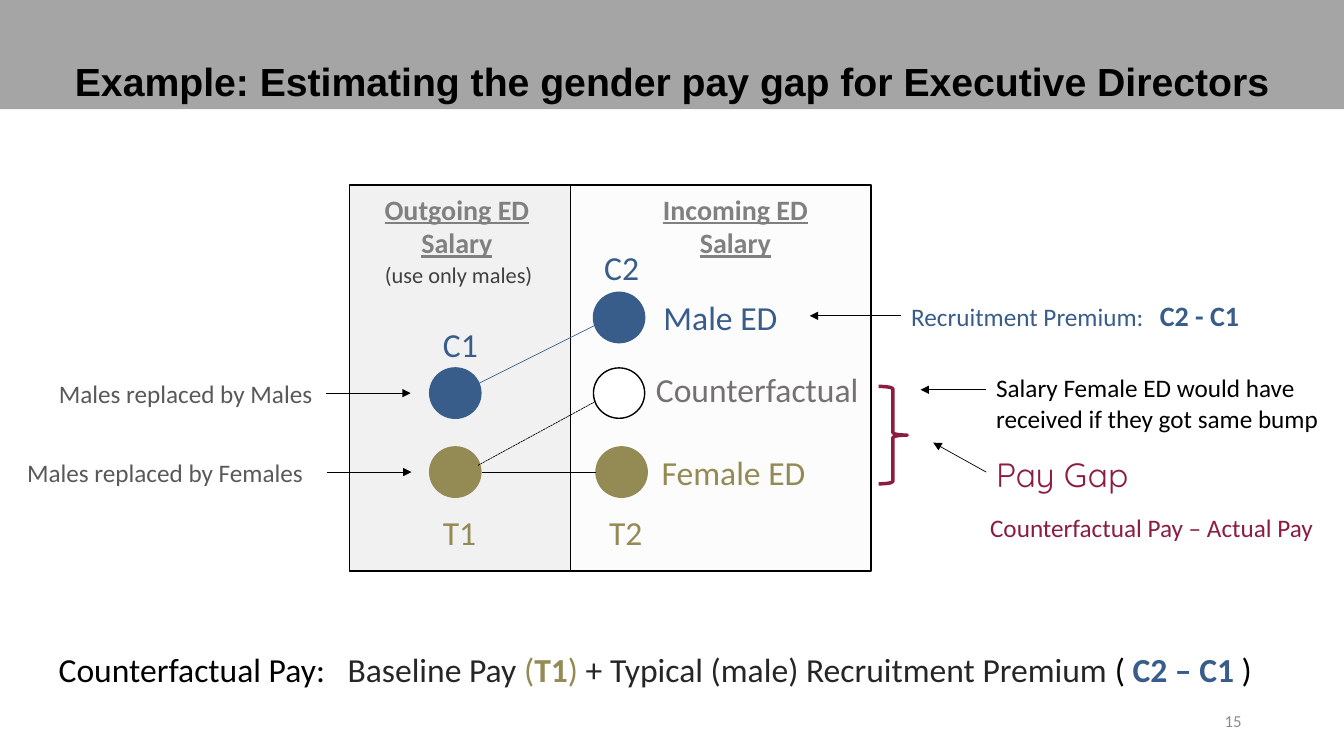
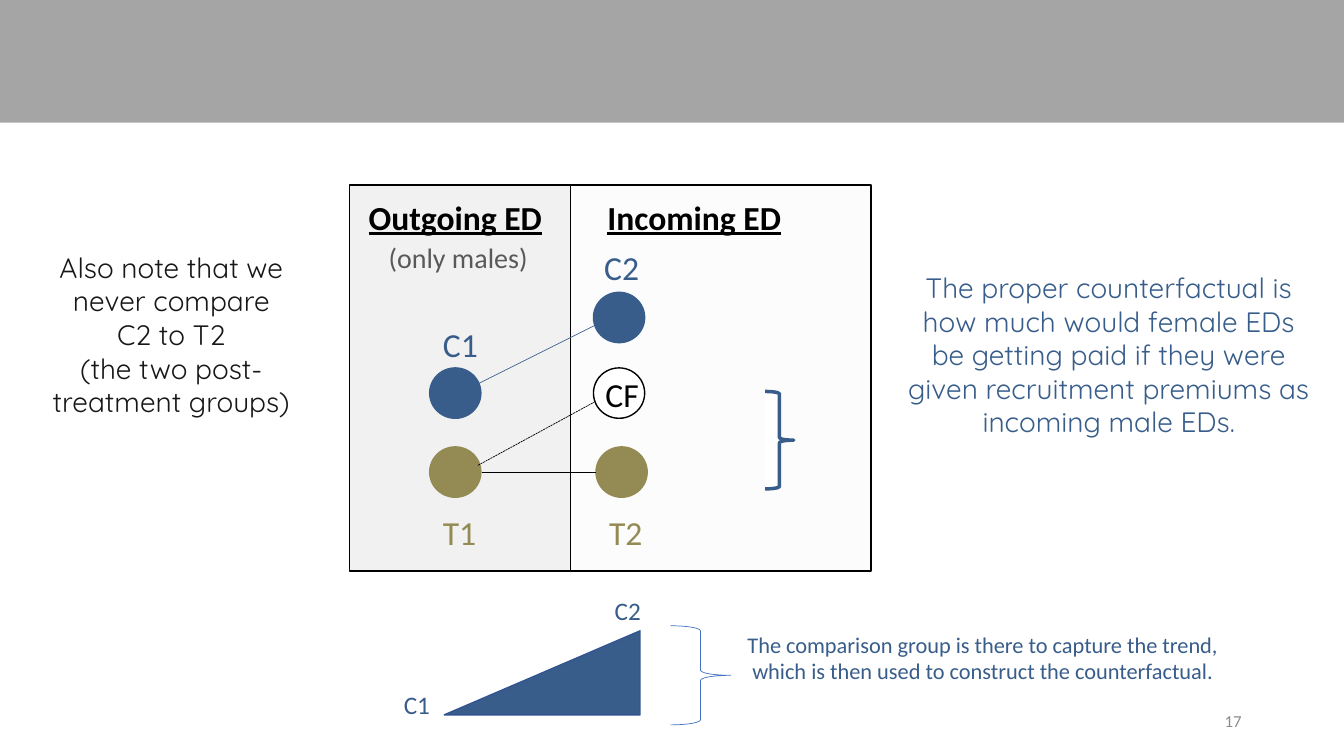
import dataclasses

import pptx
import pptx.dml.color
import pptx.enum.dml
import pptx.enum.shapes
import pptx.enum.text
import pptx.oxml
import pptx.oxml.ns
import pptx.util

SHAPE = pptx.enum.shapes.MSO_SHAPE
ALIGN = pptx.enum.text.PP_ALIGN
ANCHOR = pptx.enum.text.MSO_ANCHOR
RGB = pptx.dml.color.RGBColor.from_string
qn = pptx.oxml.ns.qn


@dataclasses.dataclass(frozen=True)
class Theme:
    body: str = "Calibri"
    heading: str = "Arial"
    accent: str = "Quicksand"
    black: str = "000000"
    white: str = "FFFFFF"
    band: str = "A5A5A5"
    comparison: str = "385D8A"
    treatment: str = "948A54"
    gap: str = "8C1D40"
    trend_edge: str = "325491"
    trend_brace: str = "4472C4"
    outgoing: str = "BFBFBF"
    incoming: str = "F2F2F2"
    column_head: str = "808080"
    counterfactual: str = "767171"
    side_note: str = "595959"
    dark_note: str = "404040"
    formula: str = "262626"
    remark: str = "181717"
    page: str = "8C8C8C"
    title_size: int = 28
    large: int = 24
    medium: int = 20
    normal: int = 18
    small: int = 16
    page_size: int = 12
    hairline: float = 0.5
    outline: float = 1
    brace_line: float = 2.5


theme = Theme()
deck = pptx.Presentation()
deck.slide_width = pptx.util.Emu(12192000)
deck.slide_height = pptx.util.Emu(6858000)
CELL = deck.slide_width / 160  # the slide is a grid of 160 columns by 90 rows


def place(slide, kind, box, fill=None, line=None, weight=theme.outline, alpha=None):
    """Add a preset shape; box is left, top, width and height in grid cells."""
    shape = slide.shapes.add_shape(kind, *[round(n * CELL) for n in box])
    shape.shadow.inherit = False
    if fill:
        shape.fill.solid()
        shape.fill.fore_color.rgb = RGB(fill)
        if alpha:
            color = shape.fill._xPr.find(qn("a:solidFill"))[0]
            pptx.oxml.parse_xml(f'<a:alpha {pptx.oxml.ns.nsdecls("a")} val="{alpha * 1000}"/>')
            color.append(color.makeelement(qn("a:alpha"), {"val": str(alpha * 1000)}))
    else:
        shape.fill.background()
    if line:
        shape.line.color.rgb = RGB(line)
        shape.line.width = pptx.util.Pt(weight)
    else:
        shape.line.fill.background()
    return shape


def write(slide, box, text, size, color, font=theme.body, align=ALIGN.CENTER,
          anchor=ANCHOR.TOP, wrap=True, bold=False, underline=False, tab=None):
    """Add text in grid cells; text is a string or a list of (words, color, bold, size)."""
    label = slide.shapes.add_textbox(*[round(n * CELL) for n in box])
    frame = label.text_frame
    frame.word_wrap = wrap
    frame.auto_size = pptx.enum.text.MSO_AUTO_SIZE.SHAPE_TO_FIT_TEXT
    frame.vertical_anchor = anchor
    parts = [(text, color, bold, size)] if isinstance(text, str) else text
    if isinstance(text, str):
        frame.text = text
    else:
        for words, *_ in parts:
            frame.paragraphs[0].add_run().text = words
    for paragraph in frame.paragraphs:
        paragraph.alignment = align
        if tab:
            stops = paragraph._p.get_or_add_pPr().makeelement(qn("a:tabLst"), {})
            stops.append(stops.makeelement(
                qn("a:tab"), {"pos": str(round(tab * CELL)), "algn": "l"}))
            paragraph._p.get_or_add_pPr().append(stops)
        for run, (_, run_color, run_bold, run_size) in zip(paragraph.runs, parts):
            run.font.name = font
            run.font.size = pptx.util.Pt(run_size)
            run.font.color.rgb = RGB(run_color)
            run.font.bold = run_bold
            run.font.underline = underline


# Pay diagram: two salary columns, one row for each level of pay
PANEL_TOP, PANEL_HEIGHT = 22, 46
HIGH, MIDDLE, LOW = 37.8, 46.8, 56.2
OUT_X, IN_X, T2_X = 54.2, 73.7, 74
DOT_WIDTH, DOT_HEIGHT = 6.1, 6
panels = [(67.9, 35.8, theme.incoming), (41.6, 26.3, theme.outgoing)]
groups = [
    (OUT_X, MIDDLE, theme.comparison, theme.comparison),
    (OUT_X, LOW, theme.treatment, theme.treatment),
    (IN_X, HIGH, theme.comparison, theme.comparison),
    (IN_X, MIDDLE, theme.white, theme.black),
    (T2_X, LOW, theme.treatment, theme.treatment),
]
group_labels = [
    ("C1", 51.5, 38, theme.comparison),
    ("C2", 70.7, 28.8, theme.comparison),
    ("T1", 51.4, 60.4, theme.treatment),
    ("T2", 71.2, 60.4, theme.treatment),
]
# Start, end, colour, dashed, arrowhead
trends = [
    (54.7, MIDDLE, 70.7, 38.8, theme.comparison, False, False),
    (57.4, LOW, 70.9, LOW, theme.black, False, False),
    (56.9, 55.4, 70.7, 47.9, theme.black, True, False),
]
pointers = [
    (*ends, theme.black, False, True) for ends in [
        (38.8, MIDDLE, 48.9, MIDDLE),
        (38.9, LOW, 49, LOW),
        (107.3, 37.6, 96.4, 37.6),
        (117.4, 46.4, 109.6, 46.4),
        (117.4, LOW, 111.1, 52.7),
    ]
]

slides = []
for page, band_height, links in [("15", 13, trends + pointers), ("17", 14.6, trends)]:
    slide = deck.slides.add_slide(deck.slide_layouts[6])
    slides.append(slide)
    place(slide, SHAPE.RECTANGLE, (0, 0, 160, band_height), theme.band)
    for left, width, tint in panels:
        place(slide, SHAPE.RECTANGLE, (left, PANEL_TOP, width, PANEL_HEIGHT),
              tint, theme.black, alpha=21)
    write(slide, (113, 83.4, 36, 4.8), page, theme.page_size, theme.page,
          align=ALIGN.RIGHT, anchor=ANCHOR.MIDDLE)
    for name, left, top, color in group_labels:
        write(slide, (left, top, 6.6, 6), name, theme.large, color, wrap=False)
    for x, y, fill, edge in groups:
        place(slide, SHAPE.OVAL,
              (x - DOT_WIDTH / 2, y - DOT_HEIGHT / 2, DOT_WIDTH, DOT_HEIGHT), fill, edge)
    for *ends, color, dashed, arrow in links:
        link = slide.shapes.add_connector(
            pptx.enum.shapes.MSO_CONNECTOR.STRAIGHT, *[round(n * CELL) for n in ends])
        link.line.color.rgb = RGB(color)
        link.line.width = pptx.util.Pt(theme.hairline)
        if dashed:
            link.line.dash_style = pptx.enum.dml.MSO_LINE.SQUARE_DOT
        properties = link._element.spPr
        if arrow:
            outline = link.line._get_or_add_ln()
            outline.append(outline.makeelement(qn("a:tailEnd"), {"type": "triangle"}))
        properties.append(properties.makeelement(qn("a:effectLst"), {}))

example, explanation = slides

# Example: the gap for executive directors
write(example, (0, 6.4, 160, 6.6),
      "Example: Estimating the gender pay gap for Executive Directors",
      theme.title_size, theme.black, theme.heading, anchor=ANCHOR.BOTTOM, bold=True)
for heading, box in [("Incoming ED Salary", (73.8, 22.3, 27.5, 9.2)),
                     ("Outgoing ED\nSalary", (39.1, 22.3, 30.6, 9.2))]:
    write(example, box, heading, theme.medium, theme.column_head, bold=True, underline=True)
write(example, (44.2, 30.5, 20.8, 4.4), "(use only males)", theme.small,
      theme.dark_note, wrap=False)
for name, left, top, color in [("Male ED", 77.8, 34.7, theme.comparison),
                               ("Counterfactual", 76.9, 43.3, theme.counterfactual),
                               ("Female ED", 77.6, 53.2, theme.treatment)]:
    write(example, (left, top, 27.5, 6), name, theme.large, color, align=ALIGN.LEFT)
for note, box in [("Males replaced by Males", (5.5, 44.4, 33.2, 4.8)),
                  ("Males replaced by Females", (0.4, 53.8, 38.5, 4.8))]:
    write(example, box, note, theme.normal, theme.side_note)
write(example, (107.3, 34.9, 42.2, 5.3),
      [("Recruitment Premium:\t", theme.comparison, False, theme.normal),
       ("C2 - C1", theme.comparison, True, theme.medium)],
      theme.normal, theme.comparison, align=ALIGN.LEFT, tab=29.6)
write(example, (117.4, 43.7, 42.6, 8.5),
      "Salary Female ED would have received if they got same bump",
      theme.normal, theme.black, align=ALIGN.LEFT, anchor=ANCHOR.MIDDLE)
place(example, SHAPE.RIGHT_BRACE, (104.6, 46, 3.4, 11.6), theme.white, theme.gap,
      theme.brace_line)
write(example, (117.4, 53.4, 19.9, 6), "Pay Gap", theme.large, theme.gap, theme.accent,
      align=ALIGN.LEFT, wrap=False)
write(example, (114.2, 60.4, 45.8, 4.8), "Counterfactual Pay – Actual Pay",
      theme.normal, theme.gap, anchor=ANCHOR.MIDDLE)
formula = [
    ("Counterfactual Pay:\t", theme.black, False),
    ("Baseline Pay", theme.formula, False),
    (" (", theme.treatment, False),
    ("T1", theme.treatment, True),
    (") ", theme.treatment, False),
    ("+ Typical (male) Recruitment Premium ", theme.formula, False),
    ("( ", theme.black, False),
    ("C2 – C1 ", theme.comparison, True),
    (")", theme.black, False),
]
write(example, (5.8, 76.7, 148.8, 6), [(*term, theme.large) for term in formula],
      theme.large, theme.black, align=ALIGN.LEFT, tab=34.4)

# Explanation: what the comparison group is for
for heading, box in [("Incoming ED", (68.9, 22.8, 27.5, 6)),
                     ("Outgoing ED", (41.3, 22.8, 25.8, 6))]:
    write(explanation, box, heading, theme.large, theme.black, bold=True, underline=True)
write(explanation, (44.6, 28, 19.9, 5.3), "(only males)", theme.medium,
      theme.side_note, wrap=False)
write(explanation, (70.9, 43.9, 27.5, 6), "CF", theme.large, theme.black, align=ALIGN.LEFT)
write(explanation, (106.9, 31.6, 50.2, 21.4),
      "The proper counterfactual is how much would female EDs be getting paid if they "
      "were given recruitment premiums as incoming male EDs.",
      theme.medium, theme.comparison, theme.accent)
write(explanation, (1.8, 29.2, 37.2, 21.4),
      "Also note that we never compare\nC2 to T2\n(the two post-treatment groups)",
      theme.medium, theme.remark, theme.accent)
place(explanation, SHAPE.RIGHT_BRACE, (91.1, 46.6, 3.4, 11.6), theme.white,
      theme.comparison, theme.brace_line)
trend = place(explanation, SHAPE.RIGHT_TRIANGLE, (52.9, 75.1, 23.3, 10),
              theme.comparison, theme.trend_edge)
trend._element.spPr.find(qn("a:xfrm")).set("flipH", "1")
for name, left, top in [("C2", 72, 70.3), ("C1", 46.9, 81.5)]:
    write(explanation, (left, top, 5.5, 4.8), name, theme.normal, theme.comparison,
          align=ALIGN.LEFT, wrap=False)
place(explanation, SHAPE.RIGHT_BRACE, (79.8, 74.5, 7.2, 11.8), line=theme.trend_brace,
      weight=theme.hairline)
write(explanation, (85.8, 74.5, 62.4, 7.7),
      "The comparison group is there to capture the trend, which is then used to "
      "construct the counterfactual.", theme.small, theme.comparison)

deck.save("out.pptx")
